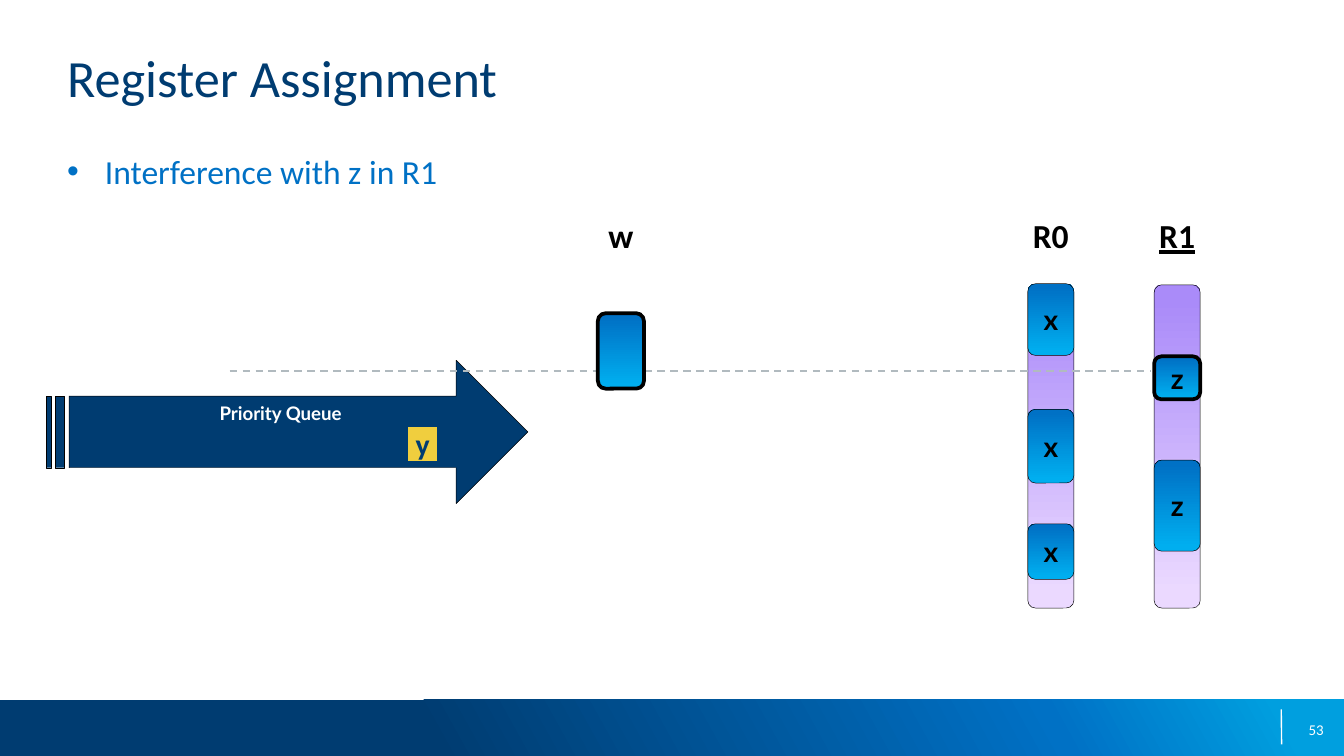
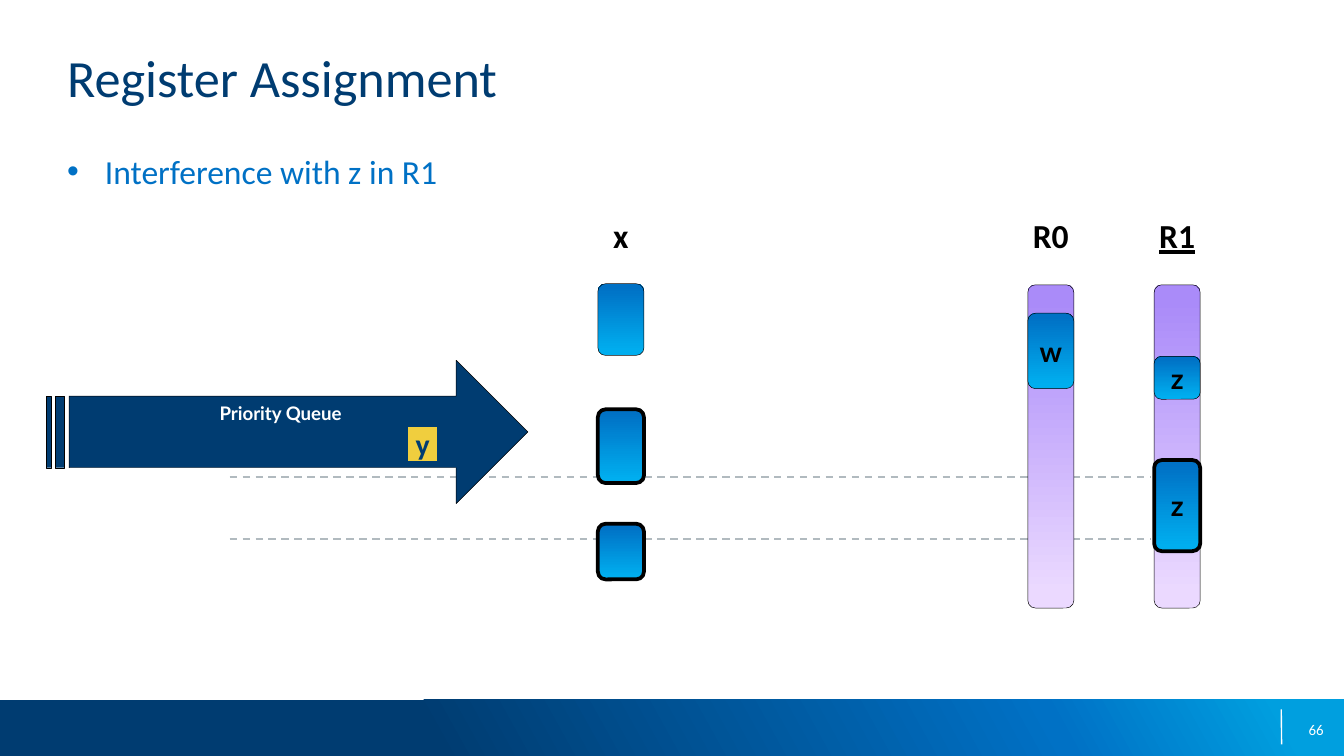
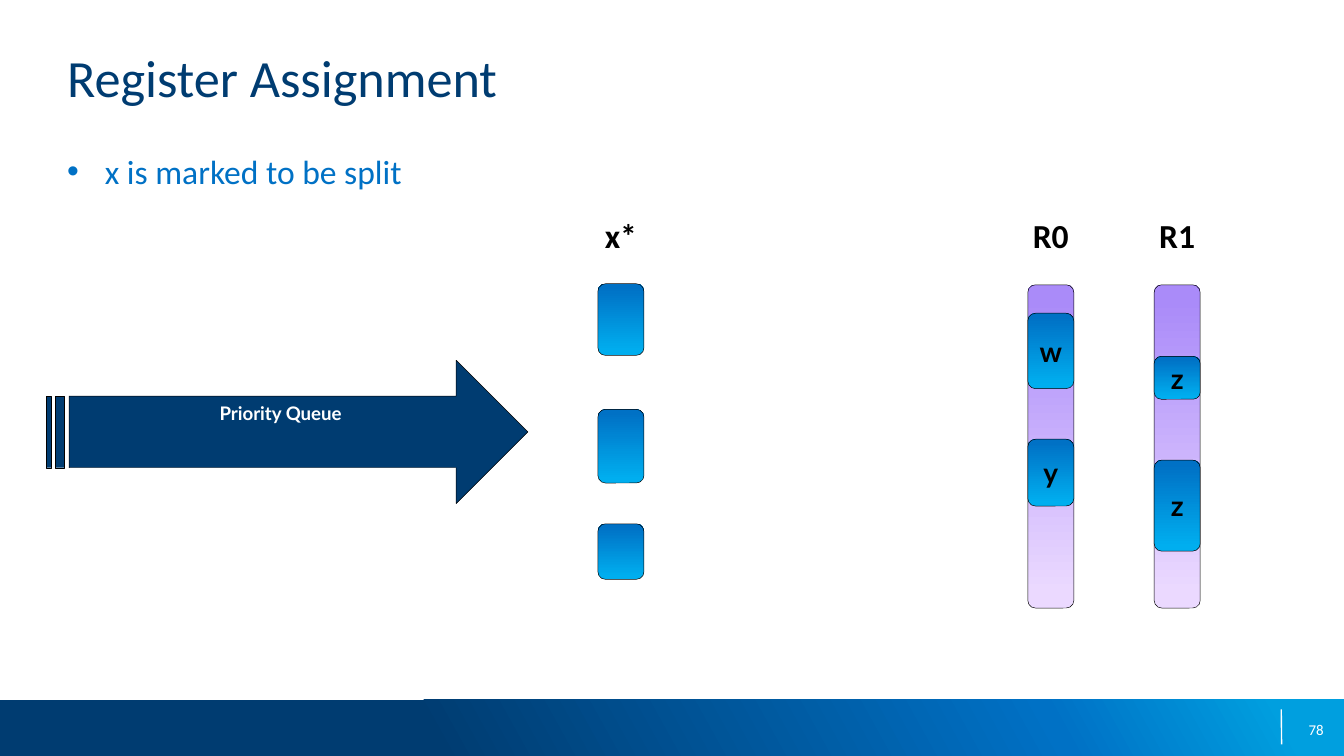
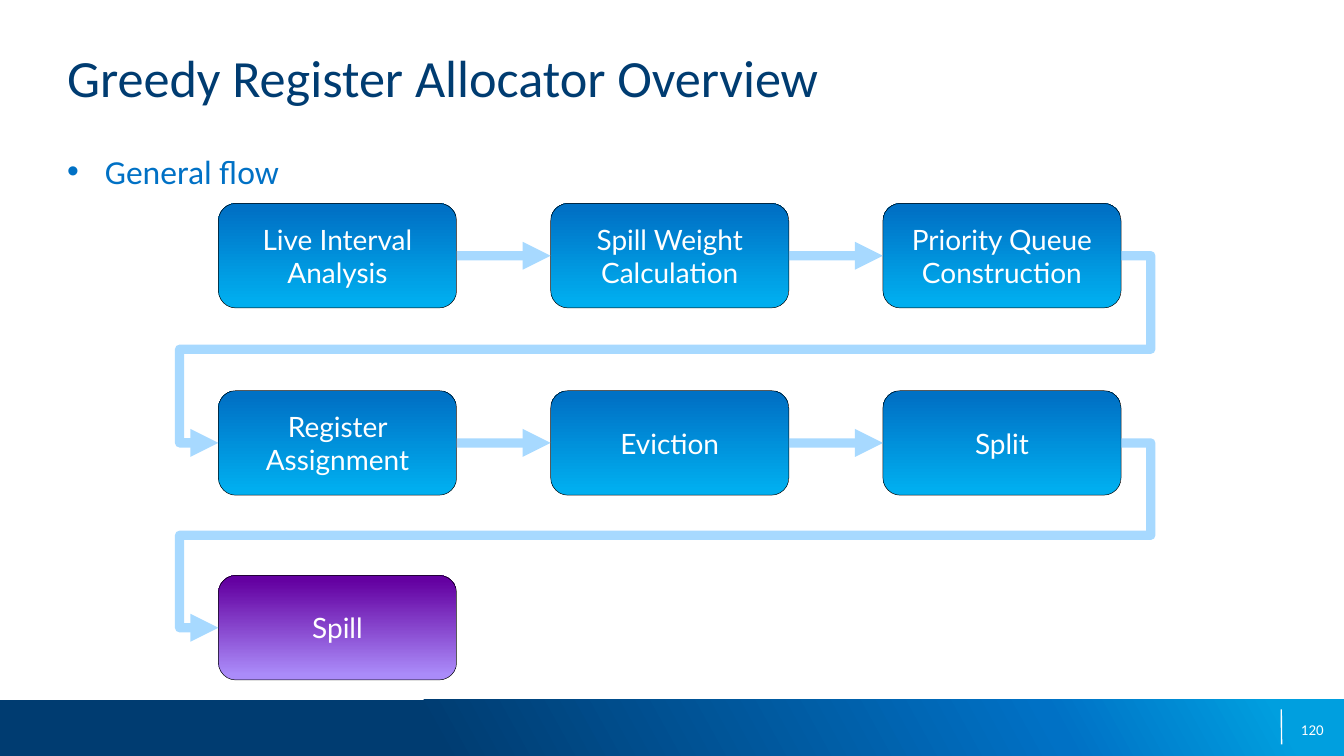
from lxml import etree
from pptx import Presentation
from pptx import util as u
from pptx.dml.color import RGBColor
from pptx.enum import dml, shapes, text
from pptx.oxml import ns

COLOURS = {
    "navy": "003C71", "blue": "0071C5", "sky": "009FDF", "cyan": "00AEEF",
    "lilac": "EBD9FF", "violet": "AA8BF9", "purple": "6401A1",
    "arrow": "72C3FF", "grey": "B1BABF", "yellow": "F0CE3E",
    "black": "000000", "white": "FFFFFF",
}

# Gradients: angle (clockwise) and stops
GRADIENTS = {
    "footer": (331, [(32, "navy"), (78, "blue"), (95, "sky")]),
    "register": (270, [(5, "lilac"), (95, "violet")]),
    "interval": (270, [(5, "cyan"), (95, "blue")]),
    "spill": (270, [(5, "violet"), (95, "purple")]),
}

# Text formats: font attributes, with the colour kept apart
FORMATS = {
    "title": ("navy", {"name": "Calibri", "size": u.Pt(28)}),
    "bullet": ("blue", {"name": "Calibri", "size": u.Pt(18)}),
    "number": ("white", {"name": "Calibri", "size": u.Pt(8)}),
    "label": ("black", {"name": "Calibri", "size": u.Pt(18), "bold": True}),
    "marked": ("black", {"name": "Calibri", "size": u.Pt(18), "bold": True, "underline": True}),
    "queue": ("white", {"name": "Lato", "size": u.Pt(10), "bold": True}),
    "queued": ("navy", {"name": "Calibri", "size": u.Pt(16), "bold": True}),
    "interval": ("black", {"name": "Lato", "size": u.Pt(15), "bold": True}),
    "step": ("white", {"name": "Lato", "size": u.Pt(15)}),
}
LEFT, CENTER, RIGHT = text.PP_ALIGN.LEFT, text.PP_ALIGN.CENTER, text.PP_ALIGN.RIGHT
TOP, MIDDLE = text.MSO_ANCHOR.TOP, text.MSO_ANCHOR.MIDDLE
FIT = text.MSO_AUTO_SIZE.SHAPE_TO_FIT_TEXT
ROUNDED = shapes.MSO_SHAPE.ROUNDED_RECTANGLE
NO_INSETS, INSETS = (0, 0), (5, 3)

# Register diagram: column places, and (top, height) of each live interval
COLUMNS = {"candidate": 320.3, "R0": 550.6, "R1": 618.3}
COLUMN_WIDTH = 24.7
INTERVALS = {
    "w": [(167.8, 40.4)],
    "x": [(152, 38.4), (219.3, 39.5), (280.6, 29.8)],
    "y": [(235.3, 35.8)],
    "z": [(190.9, 23), (246.5, 48.8)],
}

# Flow chart grid
STEP_LEFT, STEP_PITCH, STEP_WIDTH, STEP_HEIGHT = 117, 178, 127.6, 56
ROW_TOPS = (109, 209.3, 308.3)
STEPS = [
    ["Live Interval Analysis", "Spill Weight Calculation", "Priority Queue Construction"],
    ["Register Assignment", "Eviction", "Split"],
    ["Spill"],
]


def colour(name):
    return RGBColor.from_string(COLOURS[name])


def add_element(parent, tag, **attributes):
    return etree.SubElement(parent, ns.qn(tag), attributes)


def fill_gradient(shape, name):
    angle, stops = GRADIENTS[name]
    shape.fill.gradient()
    shape.fill.gradient_angle = 360 - angle
    stop_list = shape._element.spPr.find(".//" + ns.qn("a:gsLst"))
    for stop in list(stop_list):
        stop_list.remove(stop)
    for position, stop_colour in stops:
        stop = add_element(stop_list, "a:gs", pos=str(position * 1000))
        add_element(stop, "a:srgbClr", val=COLOURS[stop_colour])


def write(shape, words, style, align=LEFT, anchor=TOP, insets=NO_INSETS, wrap=True, fit=None, bullet=False):
    frame = shape.text_frame
    across, down = (u.Pt(inset) for inset in insets)
    settings = {
        "margin_left": across, "margin_right": across, "margin_top": down, "margin_bottom": down,
        "vertical_anchor": anchor, "word_wrap": wrap, "auto_size": fit or text.MSO_AUTO_SIZE.NONE,
    }
    for name, value in settings.items():
        setattr(frame, name, value)
    paragraph = frame.paragraphs[0]
    paragraph.alignment = align
    if bullet:
        properties = paragraph._p.get_or_add_pPr()
        properties.set("marL", str(u.Pt(20.2)))
        properties.set("indent", str(-u.Pt(20.2)))
        add_element(properties, "a:buFont", typeface="Arial")
        add_element(properties, "a:buChar", char="•")
    run = paragraph.add_run()
    run.text = words
    font_colour, values = FORMATS[style]
    for name, value in values.items():
        setattr(run.font, name, value)
    run.font.color.rgb = colour(font_colour)


def add_text(slide, box, words, style, **options):
    shape = slide.shapes.add_textbox(*map(u.Pt, box))
    write(shape, words, style, **options)


def add_box(slide, kind, box, fill, line="black", width=0.25):
    shape = slide.shapes.add_shape(kind, *map(u.Pt, box))
    shape.shadow.inherit = False
    if fill in GRADIENTS:
        fill_gradient(shape, fill)
    else:
        shape.fill.solid()
        shape.fill.fore_color.rgb = colour(fill)
    if line:
        shape.line.color.rgb = colour(line)
        shape.line.width = u.Pt(width)
    else:
        shape.line.fill.background()
    return shape


def add_line(slide, start, end, line, width, kind=shapes.MSO_CONNECTOR.STRAIGHT):
    connector = slide.shapes.add_connector(kind, *map(u.Pt, start + end))
    connector.line.color.rgb = colour(line)
    connector.line.width = u.Pt(width)
    add_element(connector._element.spPr, "a:effectLst")
    return connector


# Shared frame of every slide
def add_slide(presentation, title, bullet, number):
    slide = presentation.slides.add_slide(presentation.slide_layouts[6])
    add_box(slide, shapes.MSO_SHAPE.RECTANGLE, (0, 375, 720, 30), "footer", line=None)
    add_line(slide, (686.4, 380), (686.6, 398.8), "white", 0.75)
    add_text(slide, (541.4, 380, 167.8, 21.6), number, "number", align=RIGHT, anchor=MIDDLE)
    add_text(slide, (36, 24.5, 648, 52.5), title, "title")
    add_text(slide, (36, 80.8, 648, 270), bullet, "bullet", bullet=True)
    return slide


# Register diagram
def add_label(slide, column, words, style="label"):
    add_text(slide, (COLUMNS[column] - 1.8, 115.2, 28.2, 21.6), words, style, align=CENTER, fit=FIT)


def add_registers(slide, marked=None):
    for register in ("R0", "R1"):
        add_box(slide, ROUNDED, (COLUMNS[register], 152.6, COLUMN_WIDTH, 173.2), "register")
        add_label(slide, register, register, "marked" if register == marked else "label")


def add_intervals(slide, column, variable, thick=(), named=True):
    for index, (top, height) in enumerate(INTERVALS[variable]):
        shape = add_box(slide, ROUNDED, (COLUMNS[column], top, COLUMN_WIDTH, height),
                        "interval", width=2 if index in thick else 0.25)
        if named:
            write(shape, variable, "interval", align=CENTER, anchor=MIDDLE, insets=INSETS, wrap=False)


def add_candidate(slide, variable, mark="", thick=()):
    add_label(slide, "candidate", variable + mark)
    add_intervals(slide, "candidate", variable, thick, named=False)


def add_queue(slide, waiting=None):
    arrow = add_box(slide, shapes.MSO_SHAPE.STRIPED_RIGHT_ARROW, (25, 193, 257.8, 76.8), "navy")
    write(arrow, "Priority Queue", "queue", align=CENTER, insets=INSETS, wrap=False)
    if waiting:
        tag = add_box(slide, shapes.MSO_SHAPE.RECTANGLE, (218.3, 228.2, 16.4, 19.4), "yellow", "navy", 0.75)
        write(tag, waiting, "queued", align=CENTER, fit=FIT)


def add_overlap(slide, height):
    connector = add_line(slide, (123, height), (616.3, height), "grey", 1)
    connector.line.dash_style = dml.MSO_LINE.DASH


# Flow chart
def add_step(slide, row, column, words, fill):
    box = (STEP_LEFT + column * STEP_PITCH, ROW_TOPS[row], STEP_WIDTH, STEP_HEIGHT)
    write(add_box(slide, ROUNDED, box, fill), words, "step", align=CENTER, anchor=MIDDLE, insets=INSETS)


def add_flow(slide, start, end, bends=()):
    kind = shapes.MSO_CONNECTOR.ELBOW if bends else shapes.MSO_CONNECTOR.STRAIGHT
    connector = add_line(slide, start, end, "arrow", 5, kind)
    properties = connector._element.spPr
    add_element(properties.find(".//" + ns.qn("a:srgbClr")), "a:alpha", val="62000")
    add_element(properties.find(ns.qn("a:ln")), "a:tailEnd", type="triangle")
    if bends:
        geometry = properties.find(ns.qn("a:prstGeom"))
        geometry.set("prst", "bentConnector5")
        guides = geometry.find(ns.qn("a:avLst"))
        for index, bend in enumerate(bends, 1):
            add_element(guides, "a:gd", name=f"adj{index}", fmla=f"val {bend}")


def add_flow_chart(slide):
    for row, steps in enumerate(STEPS):
        for column, words in enumerate(steps):
            add_step(slide, row, column, words, "spill" if words == "Spill" else "interval")
    middles = [top + STEP_HEIGHT / 2 for top in ROW_TOPS]
    for row, steps in enumerate(STEPS):
        for column in range(len(steps) - 1):
            left = STEP_LEFT + column * STEP_PITCH
            add_flow(slide, (left + STEP_WIDTH, middles[row]), (left + STEP_PITCH, middles[row]))
    row_end = STEP_LEFT + 2 * STEP_PITCH + STEP_WIDTH
    for upper, lower in zip(middles, middles[1:]):
        add_flow(slide, (row_end, upper), (STEP_LEFT, lower), bends=(-3300, 50000, 104300))


def main():
    presentation = Presentation()
    presentation.slide_width, presentation.slide_height = u.Pt(720), u.Pt(405)

    # w meets z
    slide = add_slide(presentation, "Register Assignment", "Interference with z in R1", "53")
    add_registers(slide, marked="R1")
    add_queue(slide, "y")
    add_overlap(slide, 198.7)
    add_intervals(slide, "R0", "x")
    add_intervals(slide, "R1", "z", thick=[0])
    add_candidate(slide, "w", thick=[0])

    # x meets z
    slide = add_slide(presentation, "Register Assignment", "Interference with z in R1", "66")
    for height in (255.6, 288.7):
        add_overlap(slide, height)
    add_registers(slide, marked="R1")
    add_intervals(slide, "R0", "w")
    add_intervals(slide, "R1", "z", thick=[1])
    add_queue(slide, "y")
    add_candidate(slide, "x", thick=[1, 2])

    # x is to be split
    slide = add_slide(presentation, "Register Assignment", "x is marked to be split", "78")
    add_registers(slide)
    for register, variable in (("R0", "w"), ("R0", "y"), ("R1", "z")):
        add_intervals(slide, register, variable)
    add_queue(slide)
    add_candidate(slide, "x", mark="*")

    # Overview
    slide = add_slide(presentation, "Greedy Register Allocator Overview", "General flow", "120")
    add_flow_chart(slide)

    presentation.save("out.pptx")


if __name__ == "__main__":
    main()
